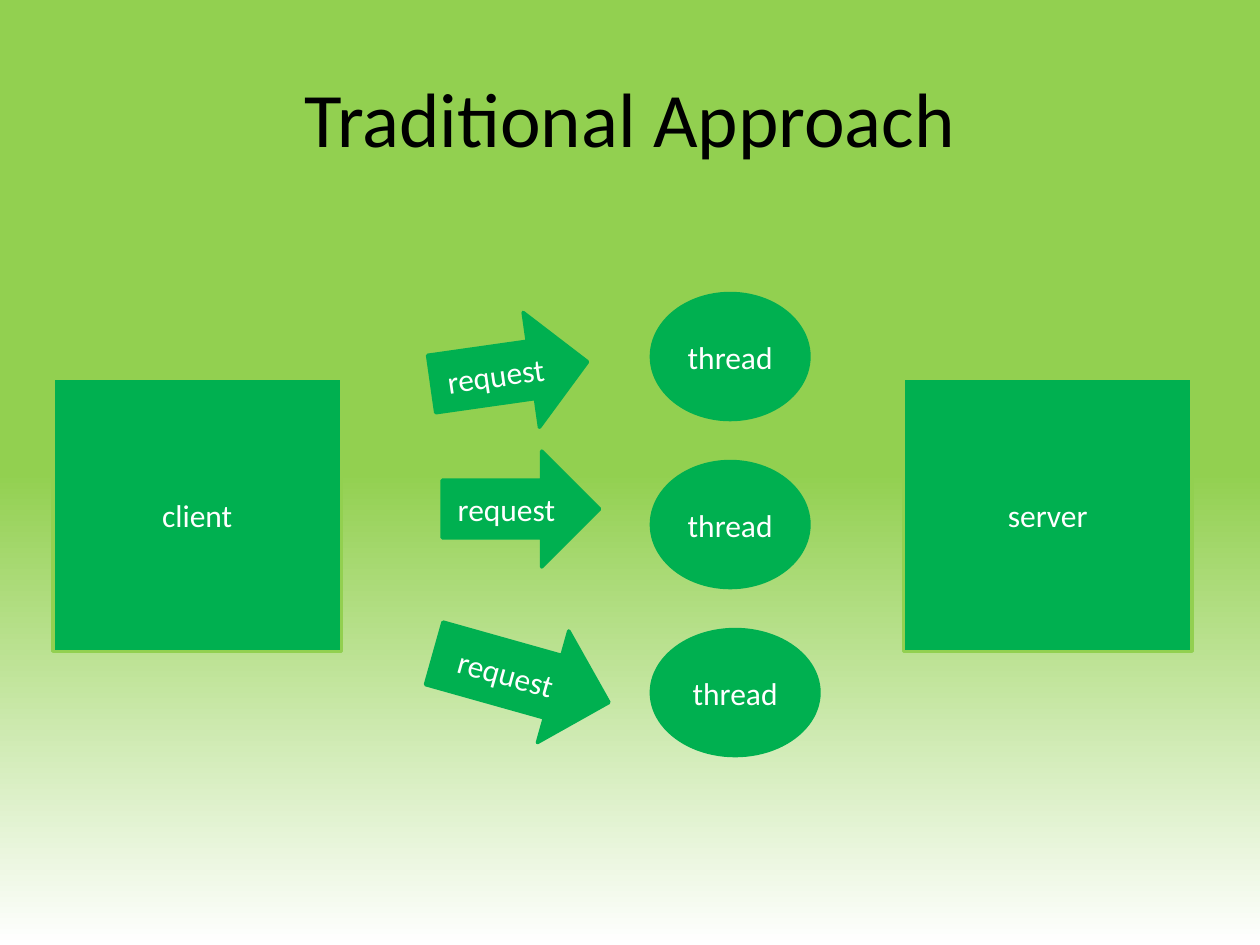
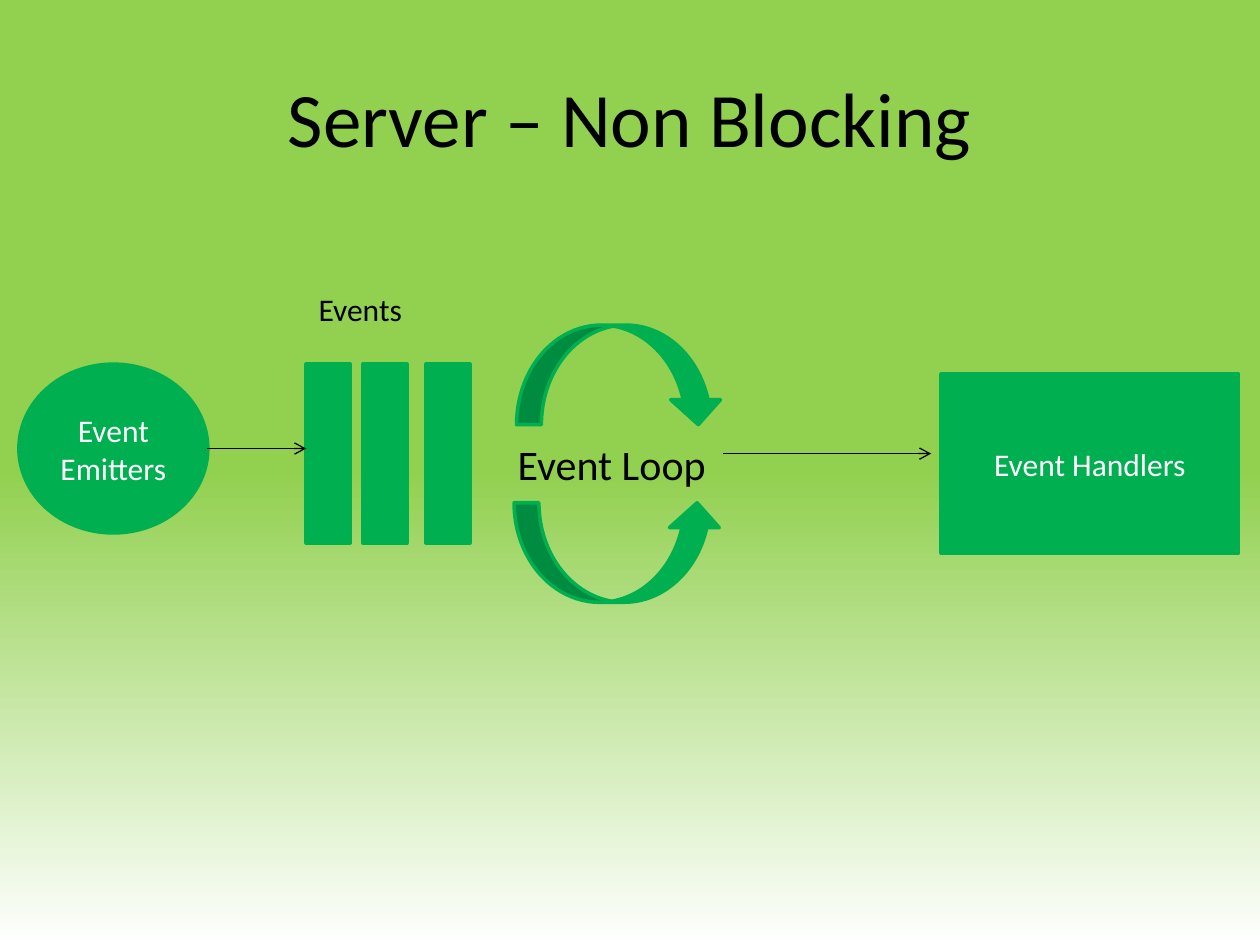
from copy import deepcopy
from dataclasses import dataclass

from lxml import etree
from pptx import Presentation
from pptx import util as u
from pptx.dml.color import RGBColor
from pptx.enum import shapes, text
from pptx.oxml import ns

KIND = shapes.MSO_SHAPE


@dataclass(frozen=True)
class Theme:
    font: str = "Calibri"
    lime: str = "92D050"
    green: str = "00B050"
    white: str = "FFFFFF"
    black: str = "000000"
    title: int = 44
    large: int = 24
    body: int = 18
    outline: float = 2
    thin: float = 0.75


THEME = Theme()
WIDTH, HEIGHT = 10, 7.5

# Content: traditional approach
TRADITIONAL = "Traditional Approach"
ENDS = [("client", 0.42), ("server", 7.17)]  # label, left
END_TOP, END_SIZE = 3, (2.29, 2.17)
THREAD_LEFT, THREAD_TOP, THREAD_STEP = 5.17, 2.33, 4 / 3
THREAD_WIDTHS = [1.25, 1.25, 1.33]
REQUESTS = [  # left, top, width, rotation, adjustments
    (3.42, 2.5, 1.25, -8.1, (0.5, 0.49)),
    (3.51, 3.58, 1.25, 0, (0.5, 0.5)),
    (3.42, 4.92, 1.44, 15.7, (0.56, 0.5)),
]
REQUEST_HEIGHT = 0.92

# Content: non-blocking approach
NON_BLOCKING = "Server – Non Blocking"
FLOW_TOP, BAR_SIZE = 2.89, (0.35, 1.42)
EVENT_LEFTS = [2.43, 2.88, 3.38]
STAGES = [  # kind, label, box
    (KIND.OVAL, "Event Emitters", (0.15, FLOW_TOP, 1.5, 1.34)),
    (KIND.RECTANGLE, "Event Handlers", (7.47, 2.97, 2.36, 1.42)),
]
LOOP_ARROWS = [
    (KIND.CURVED_DOWN_ARROW, (4.1, 2.58, 1.64, 0.79)),
    (KIND.CURVED_UP_ARROW, (4.08, 3.99, 1.65, 0.79)),
]
CAPTIONS = [  # label, size, box
    ("Events", THEME.body, (2.43, 2.25, 1.3, 0.4)),
    ("Event Loop", THEME.large, (4.01, 3.43, 1.87, 0.5)),
]
FLOW_LINES = [(1.64, 2.43, 3.56), (5.74, 7.39, 3.6)]  # start, end, height


def rgb(colour):
    return RGBColor.from_string(colour)


def inches(lengths):
    return [u.Inches(length) for length in lengths]


def write(shape, label, size, colour, align, anchor):
    frame = shape.text_frame
    frame.word_wrap = True
    frame.vertical_anchor = anchor
    para = frame.paragraphs[0]
    para.alignment = align
    span = para.add_run()
    span.text = label
    span.font.name = THEME.font
    span.font.size = u.Pt(size)
    span.font.color.rgb = rgb(colour)


def add_text(page, label, size, box, align=text.PP_ALIGN.LEFT,
             anchor=text.MSO_ANCHOR.TOP):
    shape = page.shapes.add_textbox(*inches(box))
    write(shape, label, size, THEME.black, align, anchor)


def add_block(page, kind, box, label="", line=THEME.green):
    shape = page.shapes.add_shape(kind, *inches(box))
    shape.shadow.inherit = False
    shape.fill.solid()
    shape.fill.fore_color.rgb = rgb(THEME.green)
    shape.line.color.rgb = rgb(line)
    shape.line.width = u.Pt(THEME.outline)
    if label:
        write(shape, label, THEME.body, THEME.white,
              text.PP_ALIGN.CENTER, text.MSO_ANCHOR.MIDDLE)
    return shape


def add_flow_line(page, start, end, height):
    line = page.shapes.add_connector(
        shapes.MSO_CONNECTOR.STRAIGHT, *inches((start, height, end, height)))
    line.line.color.rgb = rgb(THEME.black)
    line.line.width = u.Pt(THEME.thin)
    etree.SubElement(line.line._get_or_add_ln(), ns.qn("a:tailEnd"), type="arrow")
    etree.SubElement(line._element.spPr, ns.qn("a:effectLst"))


def add_page(deck, title):
    page = deck.slides.add_slide(deck.slide_layouts[6])
    # Lime upper half fading to white at the foot
    fill = page.background.fill
    fill.gradient()
    fill.gradient_angle = 270
    stops = page._element.find(".//" + ns.qn("a:gsLst"))
    stops.insert(0, deepcopy(stops[0]))
    colours = (THEME.lime, THEME.lime, THEME.white)
    for stop, position, colour in zip(fill.gradient_stops, (0, 0.5, 1), colours):
        stop.position = position
        stop.color.rgb = rgb(colour)
    add_text(page, title, THEME.title,
             (0.05 * WIDTH, 0.04 * HEIGHT, 0.9 * WIDTH, 1.25),
             text.PP_ALIGN.CENTER, text.MSO_ANCHOR.MIDDLE)
    return page


def build_traditional(deck):
    page = add_page(deck, TRADITIONAL)
    for label, left in ENDS:
        add_block(page, KIND.RECTANGLE, (left, END_TOP, *END_SIZE), label, THEME.lime)
    for row, width in enumerate(THREAD_WIDTHS):
        top = THREAD_TOP + row * THREAD_STEP
        add_block(page, KIND.OVAL, (THREAD_LEFT, top, width, 1), "thread")
    for left, top, width, rotation, adjustments in REQUESTS:
        arrow = add_block(page, KIND.RIGHT_ARROW,
                          (left, top, width, REQUEST_HEIGHT), "request")
        arrow.rotation = rotation
        for index, value in enumerate(adjustments):
            arrow.adjustments[index] = value


def build_non_blocking(deck):
    page = add_page(deck, NON_BLOCKING)
    for kind, label, box in STAGES:
        add_block(page, kind, box, label)
    for left in EVENT_LEFTS:
        add_block(page, KIND.RECTANGLE, (left, FLOW_TOP, *BAR_SIZE))
    for label, size, box in CAPTIONS:
        add_text(page, label, size, box)
    for kind, box in LOOP_ARROWS:
        add_block(page, kind, box)
    for start, end, height in FLOW_LINES:
        add_flow_line(page, start, end, height)


def main():
    deck = Presentation()
    deck.slide_width, deck.slide_height = inches((WIDTH, HEIGHT))
    build_traditional(deck)
    build_non_blocking(deck)
    deck.save("out.pptx")


if __name__ == "__main__":
    main()
